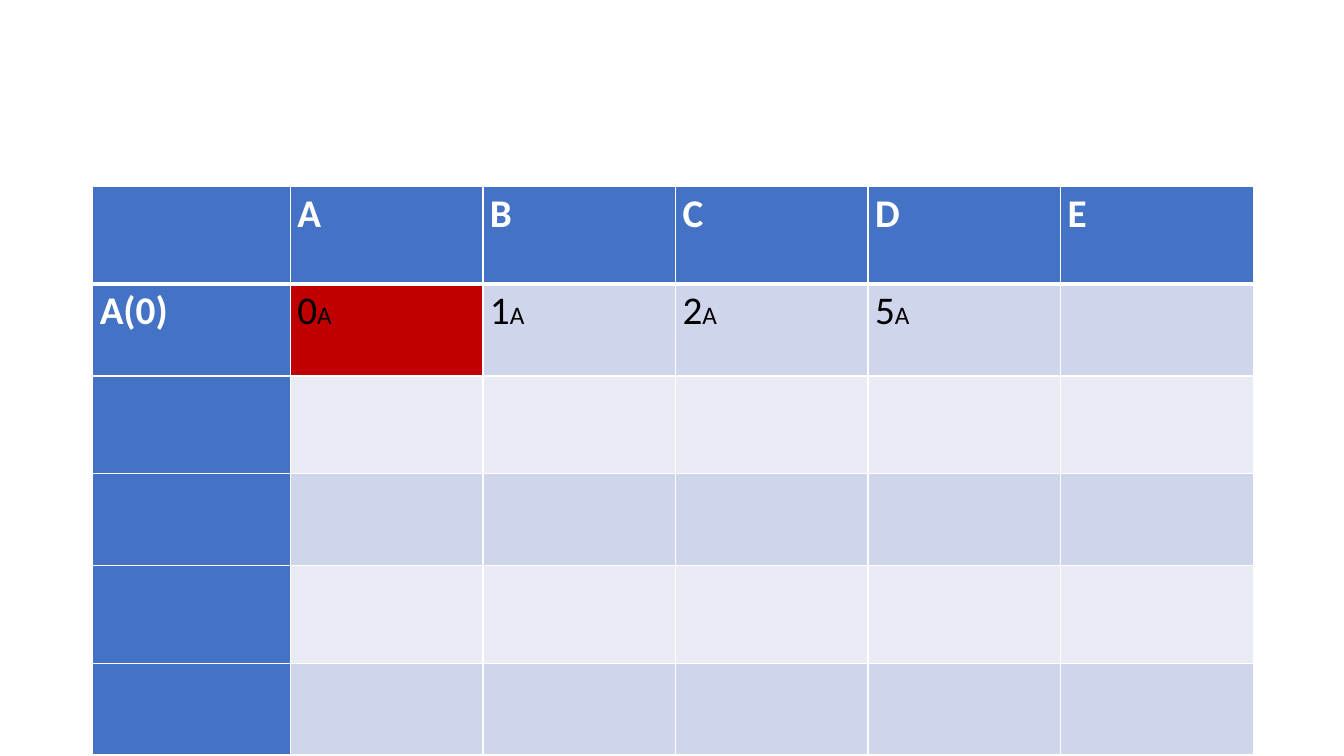
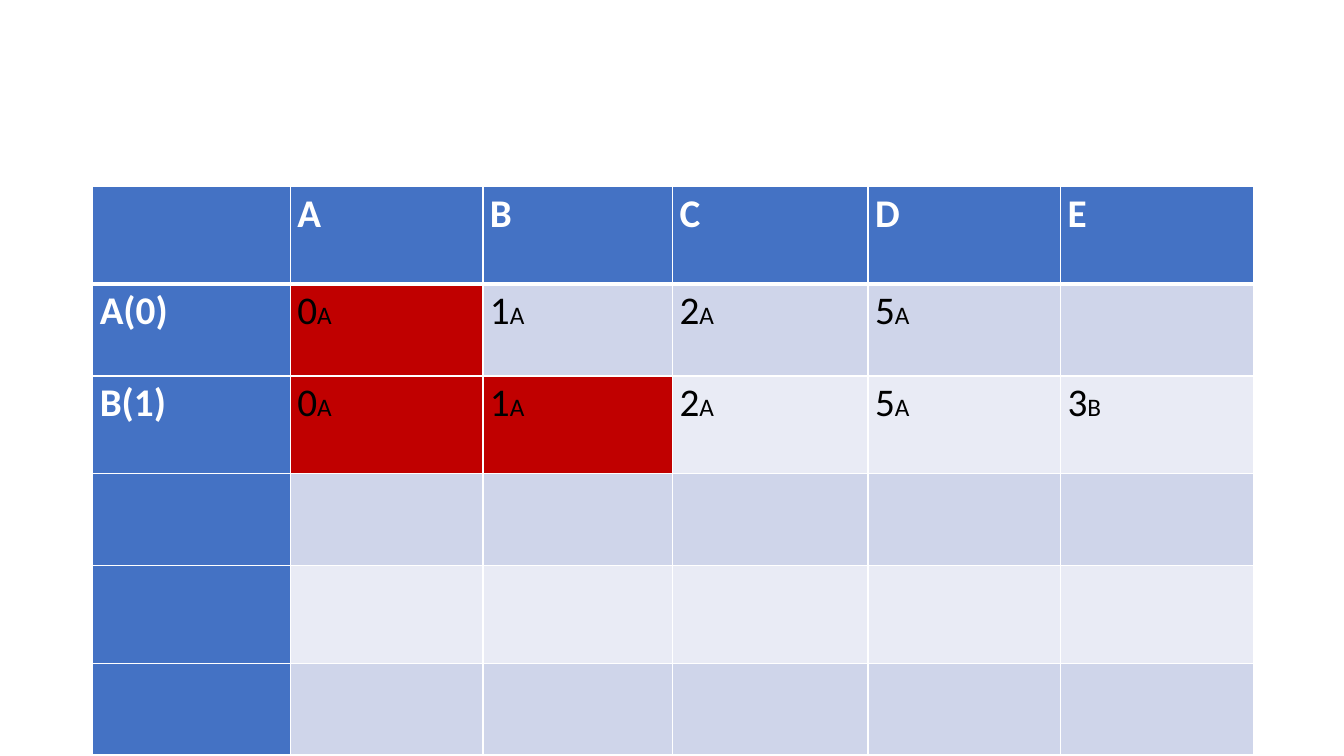
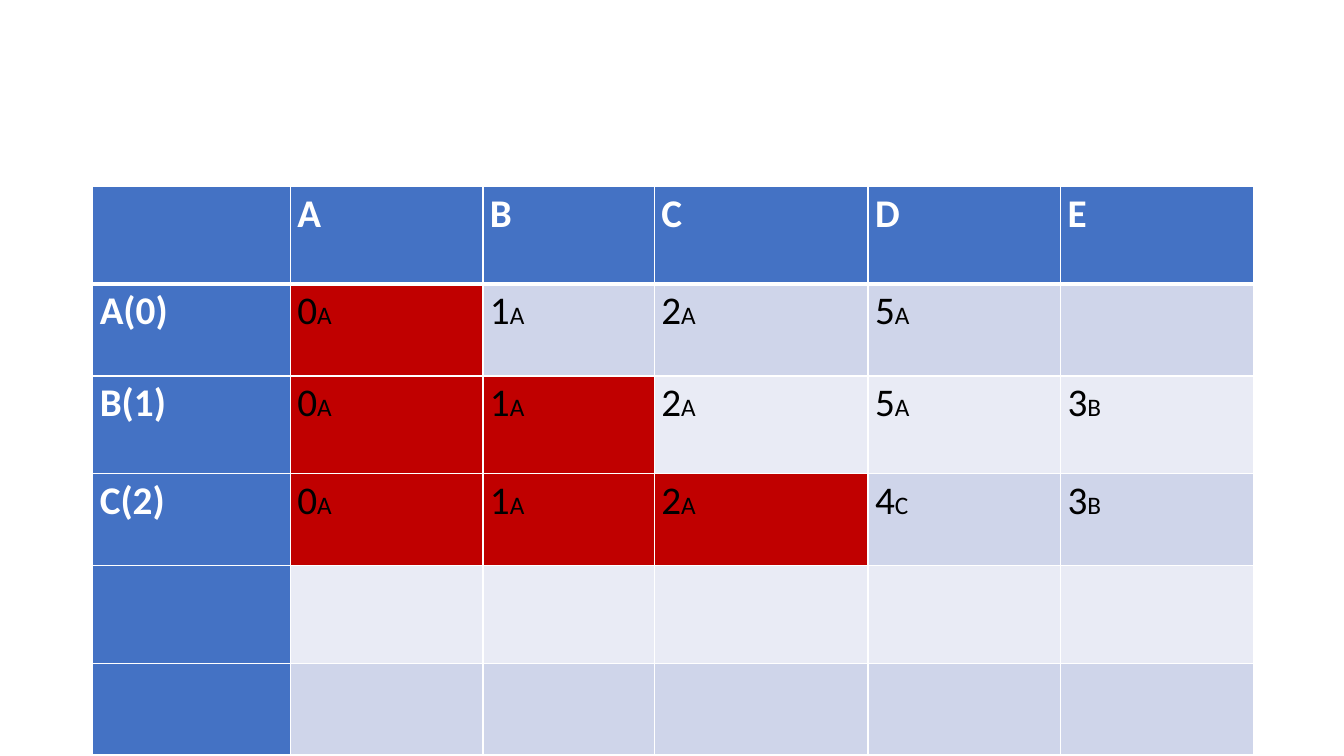
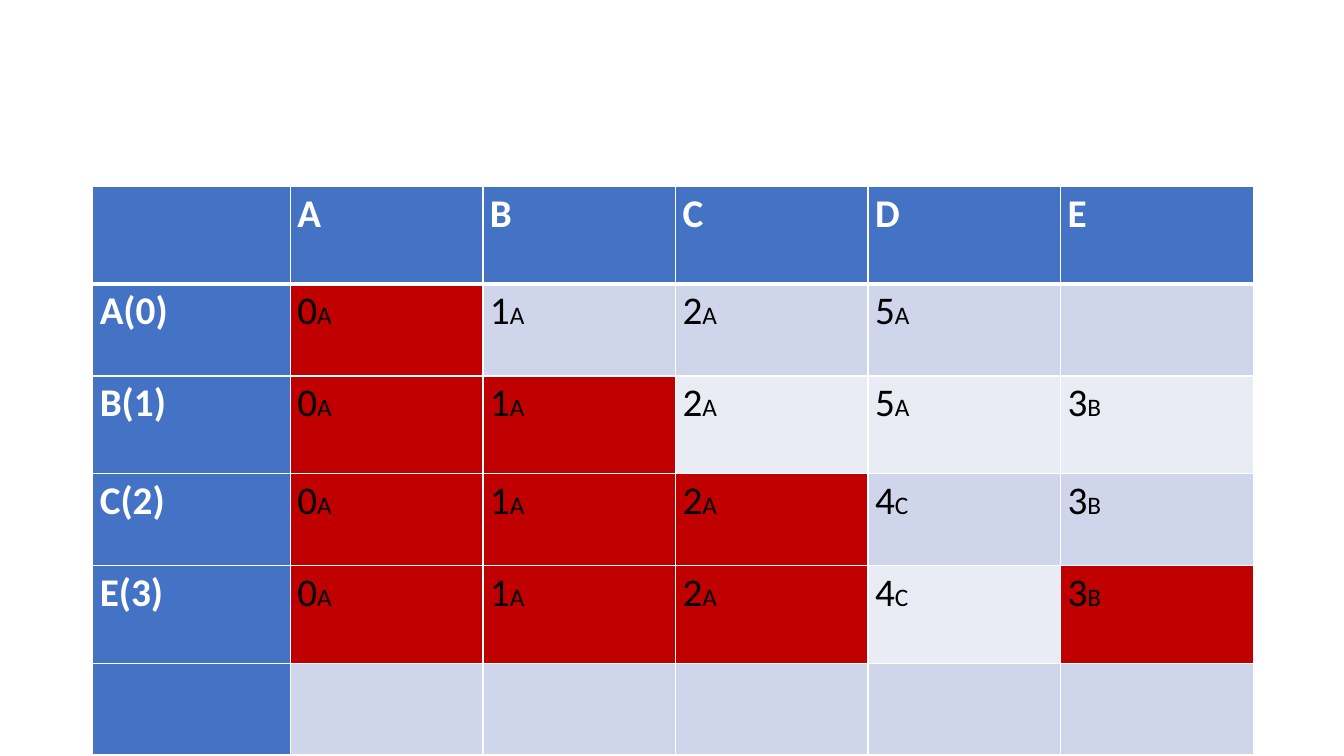
"""Build four slides that fill in a shortest-path table one step at a time."""

from dataclasses import dataclass

import lxml.etree
import pptx
import pptx.dml.color
import pptx.oxml.ns
import pptx.slide
import pptx.table
import pptx.util
from pptx.util import Inches

WHITE = "FFFFFF"
BLACK = "000000"
HEADER_BLUE = "4472C4"
VISITED_RED = "C00000"
BANDS = ("CFD5EA", "E9EBF5")
FONT = "Calibri"
LARGE, SMALL = 28, 18
THIN, THICK = 1, 3
NODES = "ABCDE"
ROW_HEIGHTS = (0.97, 0.91) * 3
LEFT, TOP = 0.92, 1.85


@dataclass(frozen=True)
class Step:
    """A visited node, its cost, and each cost with its predecessor."""

    node: str
    cost: int
    routes: tuple[str, ...]


@dataclass(frozen=True)
class Span:
    """A run of text with its look."""

    text: str
    size: int = LARGE
    color: str = BLACK
    bold: bool = False


STEPS = (
    Step("A", 0, ("0A", "1A", "2A", "5A", "")),
    Step("B", 1, ("0A", "1A", "2A", "5A", "3B")),
    Step("C", 2, ("0A", "1A", "2A", "4C", "3B")),
    Step("E", 3, ("0A", "1A", "2A", "4C", "3B")),
)
B_COLUMN_WIDTHS = (1.91, 1.88, 1.7, 1.91)


def rgb(color: str) -> pptx.dml.color.RGBColor:
    """Turn a hex string into a colour."""
    return pptx.dml.color.RGBColor.from_string(color)


def add_border(cell: pptx.table._Cell, side: str, points: int) -> None:
    """Draw one white cell border."""
    properties = cell._tc.get_or_add_tcPr()
    qualified = pptx.oxml.ns.qn
    line = lxml.etree.SubElement(properties, qualified(f"a:ln{side}"), w=str(pptx.util.Pt(points)))
    fill = lxml.etree.SubElement(line, qualified("a:solidFill"))
    lxml.etree.SubElement(fill, qualified("a:srgbClr"), val=WHITE)


def fill_cell(cell: pptx.table._Cell, row: int, color: str, spans: list[Span]) -> None:
    """Give a cell its borders, fill and text."""
    thick_side = {0: "B", 1: "T"}.get(row)
    for side in "LRTB":
        add_border(cell, side, THICK if side == thick_side else THIN)
    cell.fill.solid()
    cell.fill.fore_color.rgb = rgb(color)
    cell.margin_left = cell.margin_right = Inches(0.07)
    cell.margin_top = cell.margin_bottom = 0
    para = cell.text_frame.paragraphs[0]
    para.line_spacing = 1.07
    for span in spans:
        run = para.add_run()
        run.text = span.text
        run.font.name = FONT
        run.font.size = pptx.util.Pt(span.size)
        run.font.bold = span.bold
        run.font.color.rgb = rgb(span.color)


def heading(text: str) -> list[Span]:
    """Return the text of a header cell."""
    return [Span(text, color=WHITE, bold=True)] if text else []


def route_spans(route: str) -> list[Span]:
    """Return a large cost followed by its small predecessor."""
    return [Span(route[0]), Span(route[1], SMALL)] if route else []


def add_step_table(page: pptx.slide.Slide, steps: tuple[Step, ...], b_width: float) -> None:
    """Add the table with the given steps filled in."""
    widths = (1.96, 1.91, b_width, 2 * 1.91 - b_width, 1.91, 1.91)
    frame = page.shapes.add_table(
        len(ROW_HEIGHTS), len(widths), Inches(LEFT), Inches(TOP),
        Inches(sum(widths)), Inches(sum(ROW_HEIGHTS)),
    )
    table = frame.table
    for column, width in zip(table.columns, widths):
        column.width = Inches(width)
    for line, height in zip(table.rows, ROW_HEIGHTS):
        line.height = Inches(height)

    for column, text in enumerate(("", *NODES)):
        fill_cell(table.cell(0, column), 0, HEADER_BLUE, heading(text))
    for row in range(1, len(ROW_HEIGHTS)):
        step = steps[row - 1] if row <= len(steps) else None
        label = f"{step.node}({step.cost})" if step else ""
        routes = step.routes if step else ("",) * len(NODES)
        visited = {done.node for done in steps[:row]} if step else set()
        fill_cell(table.cell(row, 0), row, HEADER_BLUE, heading(label))
        for column, (node, route) in enumerate(zip(NODES, routes), start=1):
            color = VISITED_RED if node in visited else BANDS[(row - 1) % 2]
            fill_cell(table.cell(row, column), row, color, route_spans(route))


def main() -> None:
    """Build and save the deck."""
    deck = pptx.Presentation()
    deck.slide_width, deck.slide_height = Inches(13.33), Inches(7.5)
    for count, b_width in enumerate(B_COLUMN_WIDTHS, start=1):
        page = deck.slides.add_slide(deck.slide_layouts[6])
        add_step_table(page, STEPS[:count], b_width)
    deck.save("out.pptx")


if __name__ == "__main__":
    main()
